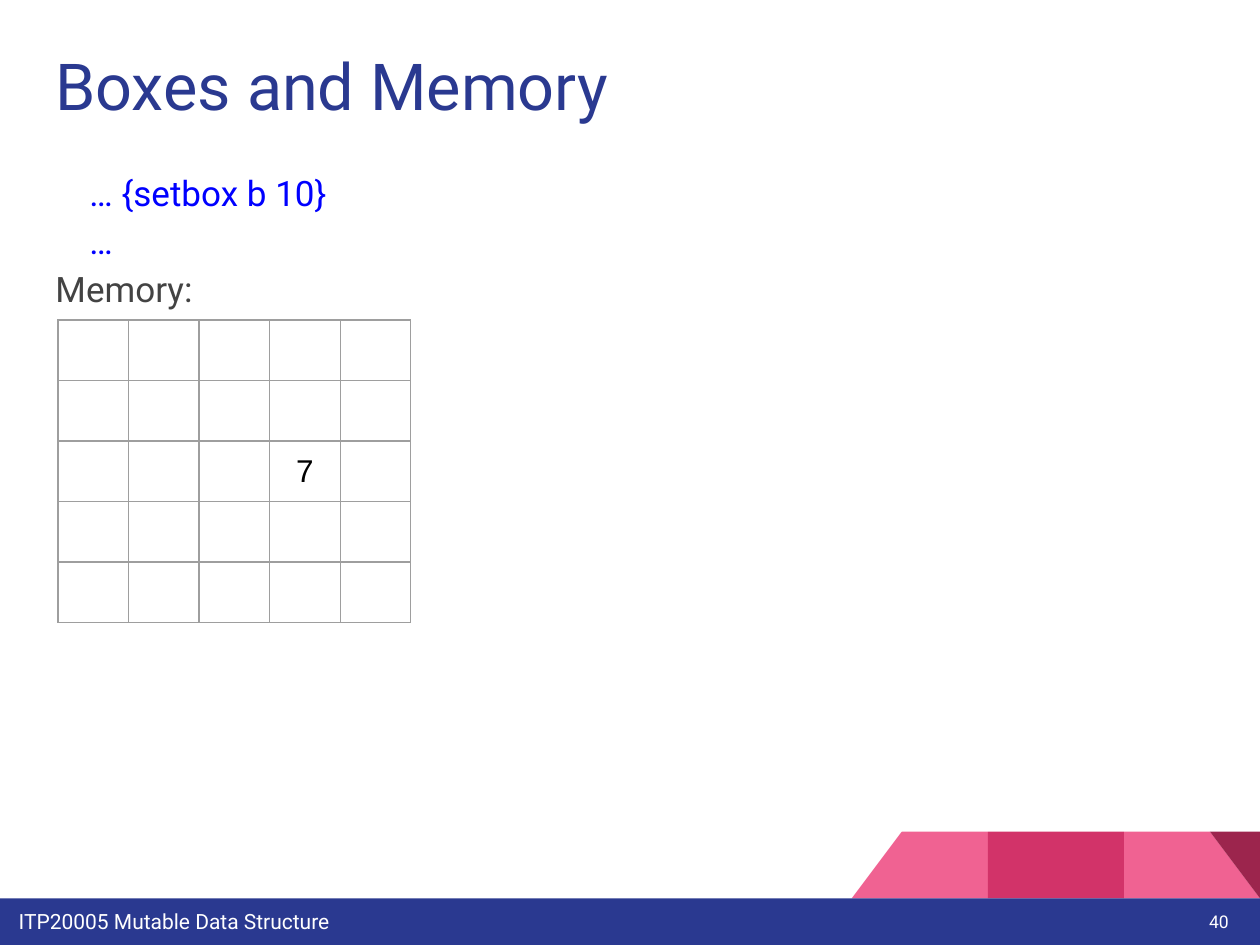
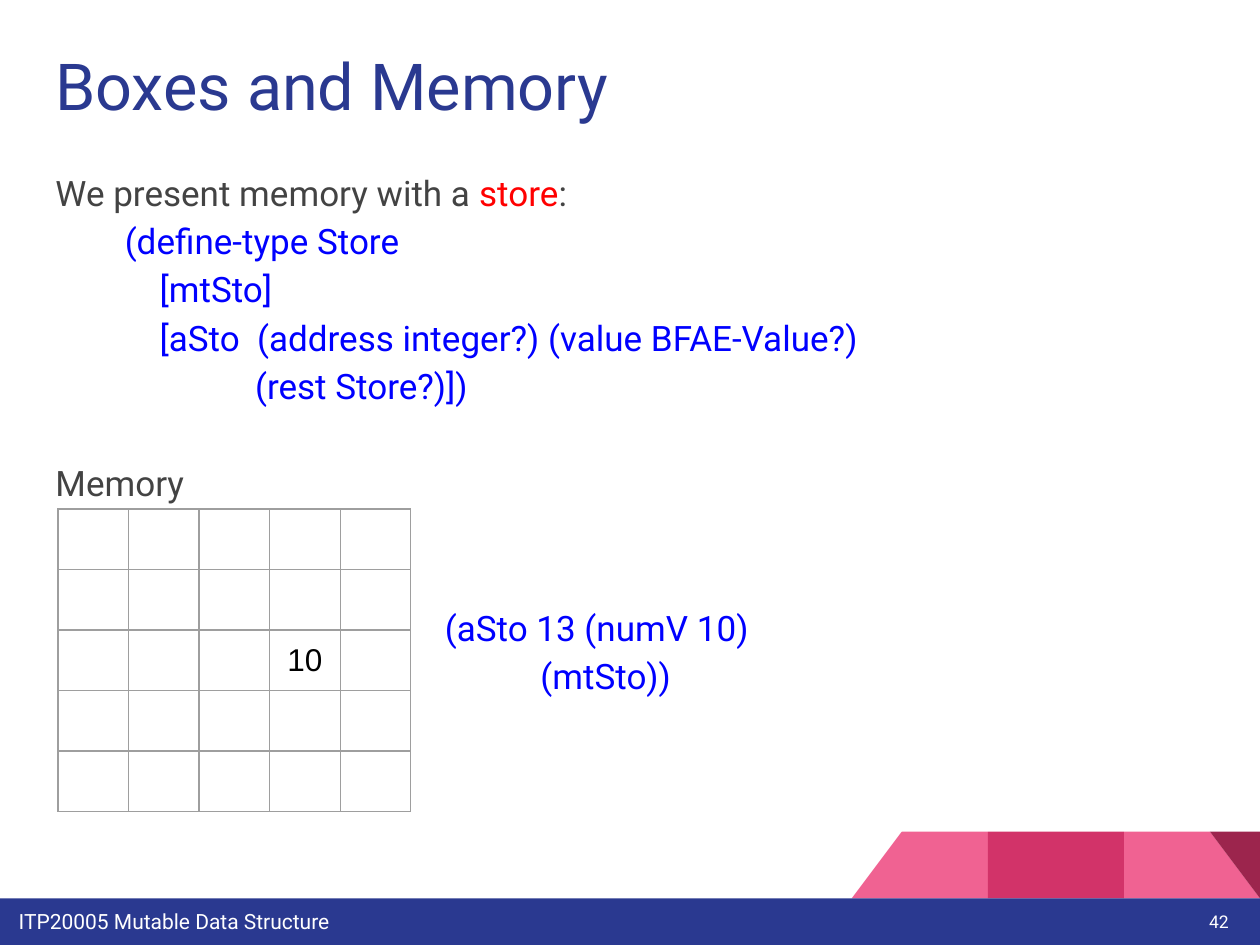
from lxml import etree
from pptx import Presentation
from pptx.dml.color import RGBColor
from pptx.enum.shapes import MSO_SHAPE as Shape
from pptx.enum.text import MSO_ANCHOR as Anchor, MSO_AUTO_SIZE as AutoSize, PP_ALIGN as Align
from pptx.oxml.ns import qn
from pptx.util import Inches, Pt

NAVY = RGBColor(0x2A, 0x39, 0x90)
PINK = RGBColor(0xF0, 0x62, 0x92)
ROSE = RGBColor(0xD2, 0x33, 0x69)
WINE = RGBColor(0x9C, 0x25, 0x4D)
WHITE = RGBColor(0xFF, 0xFF, 0xFF)
BLACK = RGBColor(0, 0, 0)
GREY = RGBColor(0x43, 0x43, 0x43)
BLUE = RGBColor(0, 0, 0xFF)
RED = RGBColor(0xFF, 0, 0)
BORDER = "9E9E9E"

FONT, CELL_FONT = "Roboto", "Arial"
WIDTH, HEIGHT = 10, 7.5
BAND_TOP = 7.13
FACET_WIDTH, FACET_HEIGHT = 1.08, 1.44
BODY_SIZE, LINE_SPACING = 20, 1.15
BLANK_LINE = 27.6  # points taken by one line of body text
GRID_SIZE, CELL_WIDTH, CELL_HEIGHT = 5, 0.56, 0.48
GRID_LEFT = 0.46


def box(left, top, width, height):
    return Inches(left), Inches(top), Inches(width), Inches(height)


def place(shape, left, top, width, height):
    shape.left, shape.top, shape.width, shape.height = box(left, top, width, height)


def add_run(paragraph, text, size, color, font=FONT):
    run = paragraph.add_run()
    run.text = text
    run.font.name = font
    run.font.size = Pt(size)
    run.font.color.rgb = color


def prepare_frame(shape, anchor=Anchor.TOP):
    """Give the text frame equal insets, wrapping and no shrinking."""
    frame = shape.text_frame
    frame.word_wrap = True
    frame.auto_size = AutoSize.NONE
    frame.vertical_anchor = anchor
    frame.margin_left = frame.margin_right = Inches(0.1)
    frame.margin_top = frame.margin_bottom = Inches(0.1)
    return frame


def add_block(slide, kind, area, color):
    shape = slide.shapes.add_shape(kind, *box(*area))
    shape.shadow.inherit = False
    shape.fill.solid()
    shape.fill.fore_color.rgb = color
    shape.line.fill.background()
    return shape


def add_label(slide, area, text, size, align=Align.LEFT, anchor=Anchor.TOP):
    label = slide.shapes.add_textbox(*box(*area))
    paragraph = prepare_frame(label, anchor).paragraphs[0]
    paragraph.alignment = align
    add_run(paragraph, text, size, WHITE)
    return label


def facet_area(columns_from_right):
    return (WIDTH - columns_from_right * FACET_WIDTH, BAND_TOP - FACET_HEIGHT,
            FACET_WIDTH, FACET_HEIGHT)


def decorate_layout(layout, slide):
    """Draw the facets and the footer on a slide, then move them to its layout."""
    right = add_block(slide, Shape.RIGHT_TRIANGLE, facet_area(1), PINK)
    left = add_block(slide, Shape.RIGHT_TRIANGLE, facet_area(3), PINK)
    left.element.spPr.find(qn("a:xfrm")).set("flipH", "1")
    middle = add_block(slide, Shape.RECTANGLE, facet_area(2), ROSE)
    corner = add_block(slide, Shape.RIGHT_TRIANGLE, facet_area(1), WINE)
    corner.rotation = 180
    band = add_block(slide, Shape.RECTANGLE, (0, BAND_TOP, WIDTH, HEIGHT - BAND_TOP), NAVY)
    footer = add_label(slide, (0.05, 7.11, 7.35, 0.36), "ITP20005 Mutable Data Structure", 12)
    for number, shape in enumerate((right, left, middle, corner, band, footer), start=20):
        shape.element.nvSpPr.cNvPr.set("id", str(number))
        layout.shapes.element.append(shape.element)


def set_title(slide, text):
    title = slide.shapes.title
    place(title, 0.34, 0.26, 9.32, 0.89)
    paragraph = prepare_frame(title).paragraphs[0]
    paragraph.alignment = Align.LEFT
    add_run(paragraph, text, 37, NAVY)


def set_body(slide, lines):
    """Fill the body; each line is (left margin, blank lines before, runs)."""
    body = slide.placeholders[1]
    place(body, 0.34, 1.21, 9.66, 5.39)
    body.fill.solid()
    body.fill.fore_color.rgb = WHITE
    frame = prepare_frame(body)
    for index, (margin, blank_lines, runs) in enumerate(lines):
        paragraph = frame.add_paragraph() if index else frame.paragraphs[0]
        properties = paragraph._p.get_or_add_pPr()
        properties.set("marL", str(Inches(margin)))
        properties.set("indent", "0")
        etree.SubElement(properties, qn("a:buNone"))
        paragraph.line_spacing = LINE_SPACING
        paragraph.space_before = Pt(blank_lines * BLANK_LINE)
        paragraph.space_after = Pt(0)
        for text, color in runs:
            add_run(paragraph, text, BODY_SIZE, color)


def prose(text, blank_lines=0):
    return 0, blank_lines, [(text, GREY)]


def code(margin, *texts, blank_lines=0):
    return [(margin, 0 if index else blank_lines, [(text, BLUE)])
            for index, text in enumerate(texts)]


def outline_cell(cell):
    cell.fill.background()
    properties = cell._tc.get_or_add_tcPr()
    for index, side in enumerate(("lnL", "lnR", "lnT", "lnB")):
        line = etree.Element(qn(f"a:{side}"), w=str(Pt(0.75)))
        fill = etree.SubElement(line, qn("a:solidFill"))
        etree.SubElement(fill, qn("a:srgbClr"), val=BORDER)
        properties.insert(index, line)


def add_memory_grid(slide, top, row, column, value):
    area = box(GRID_LEFT, top, GRID_SIZE * CELL_WIDTH, GRID_SIZE * CELL_HEIGHT)
    table = slide.shapes.add_table(GRID_SIZE, GRID_SIZE, *area).table
    table.first_row = table.horz_banding = False
    for cell in table.iter_cells():
        outline_cell(cell)
    cell = table.cell(row, column)
    cell.vertical_anchor = Anchor.MIDDLE
    paragraph = cell.text_frame.paragraphs[0]
    paragraph.alignment = Align.CENTER
    add_run(paragraph, value, 18, BLACK, CELL_FONT)


def add_memory_slide(presentation, number, lines, grid_top, value):
    slide = presentation.slides.add_slide(presentation.slide_layouts[1])
    set_title(slide, "Boxes and Memory")
    set_body(slide, lines)
    add_label(slide, (9.25, 7.03, 0.6, 0.57), number, 10, Align.RIGHT, Anchor.MIDDLE)
    add_memory_grid(slide, grid_top, 2, 3, value)
    return slide


def main():
    presentation = Presentation()
    presentation.slide_width, presentation.slide_height = Inches(WIDTH), Inches(HEIGHT)

    setbox_lines = [*code(0.27, "… {setbox b 10}", "…"), prose("Memory:")]
    setbox_slide = add_memory_slide(presentation, "40", setbox_lines, 2.54, "7")
    decorate_layout(presentation.slide_layouts[1], setbox_slide)

    store_lines = [
        (0, 0, [("We present memory with a ", GREY), ("store", RED), (":", GREY)]),
        *code(0.55,
              "(define-type Store",
              "    [mtSto]",
              "    [aSto  (address integer?) (value BFAE-Value?)",
              "               (rest Store?)])"),
        prose("Memory", blank_lines=1),
        *code(3.09,
              "(aSto 13 (numV 10)",
              "           (mtSto))", blank_lines=2),
    ]
    add_memory_slide(presentation, "42", store_lines, 4.04, "10")

    presentation.save("out.pptx")


if __name__ == "__main__":
    main()
